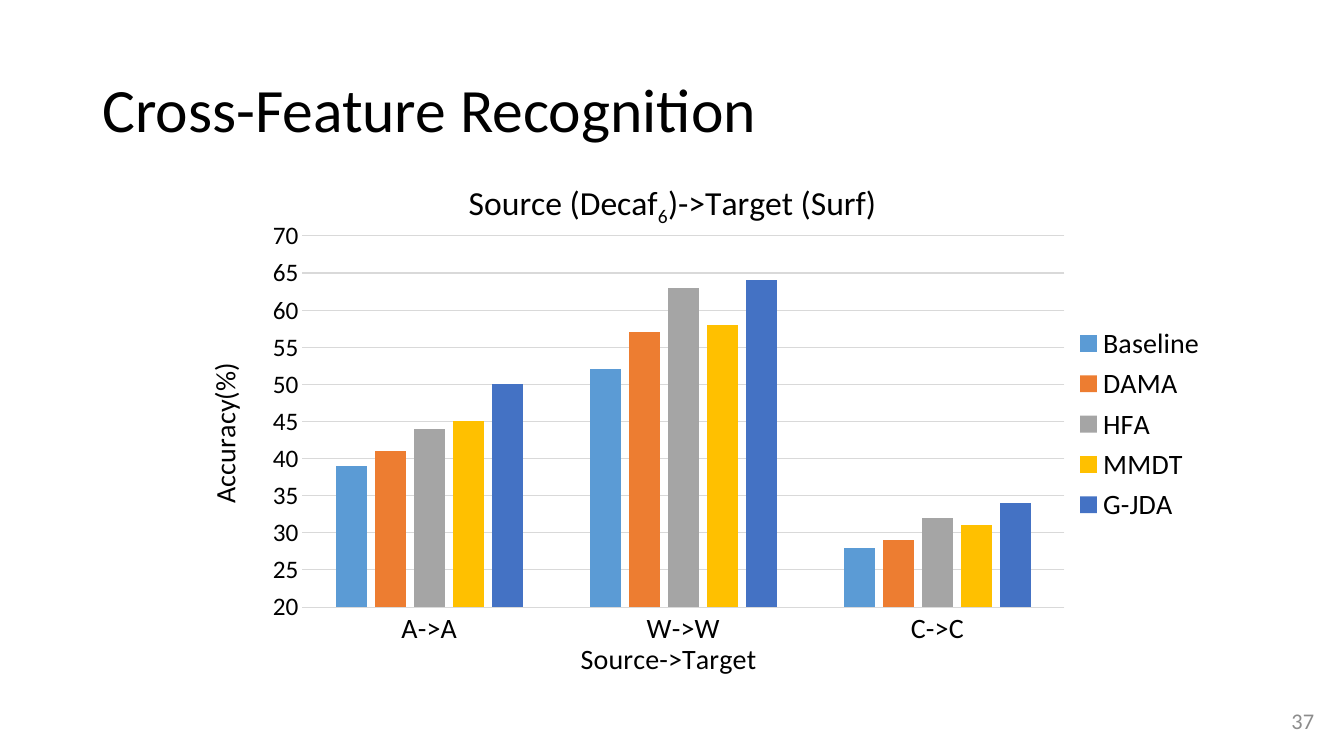
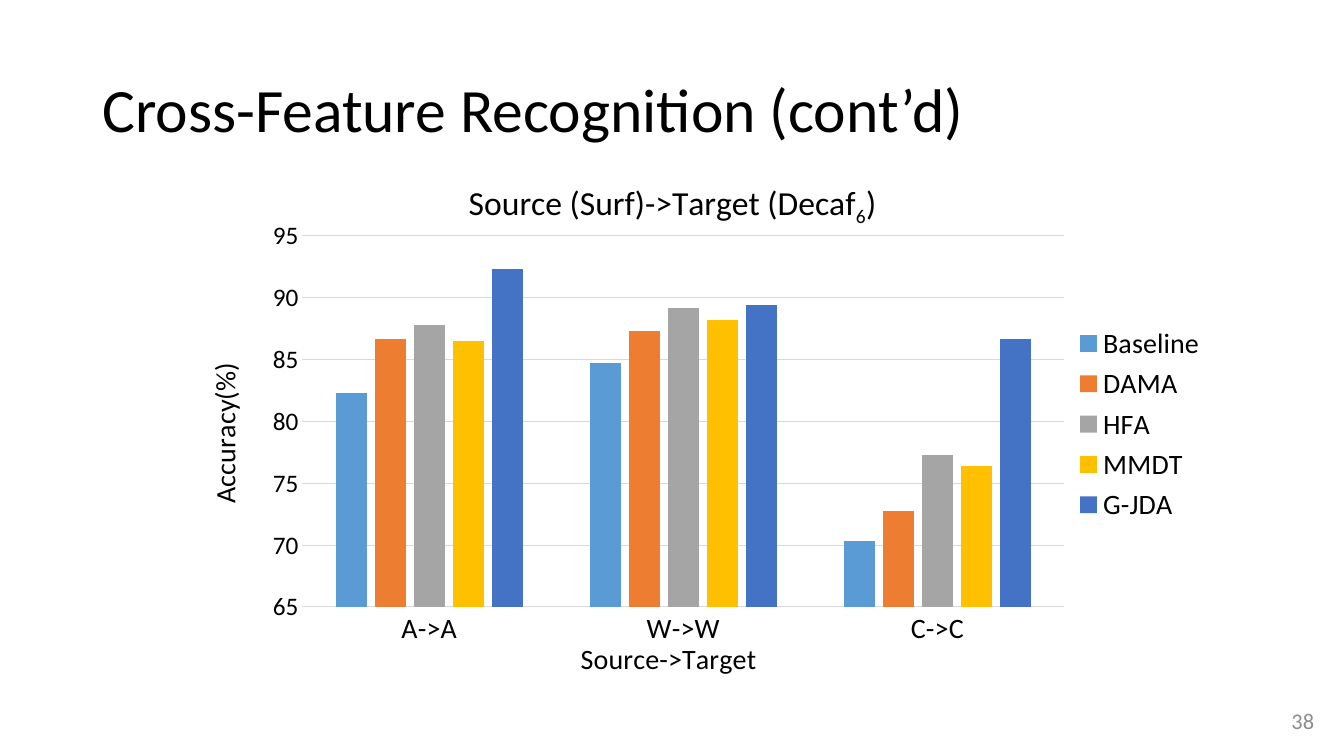
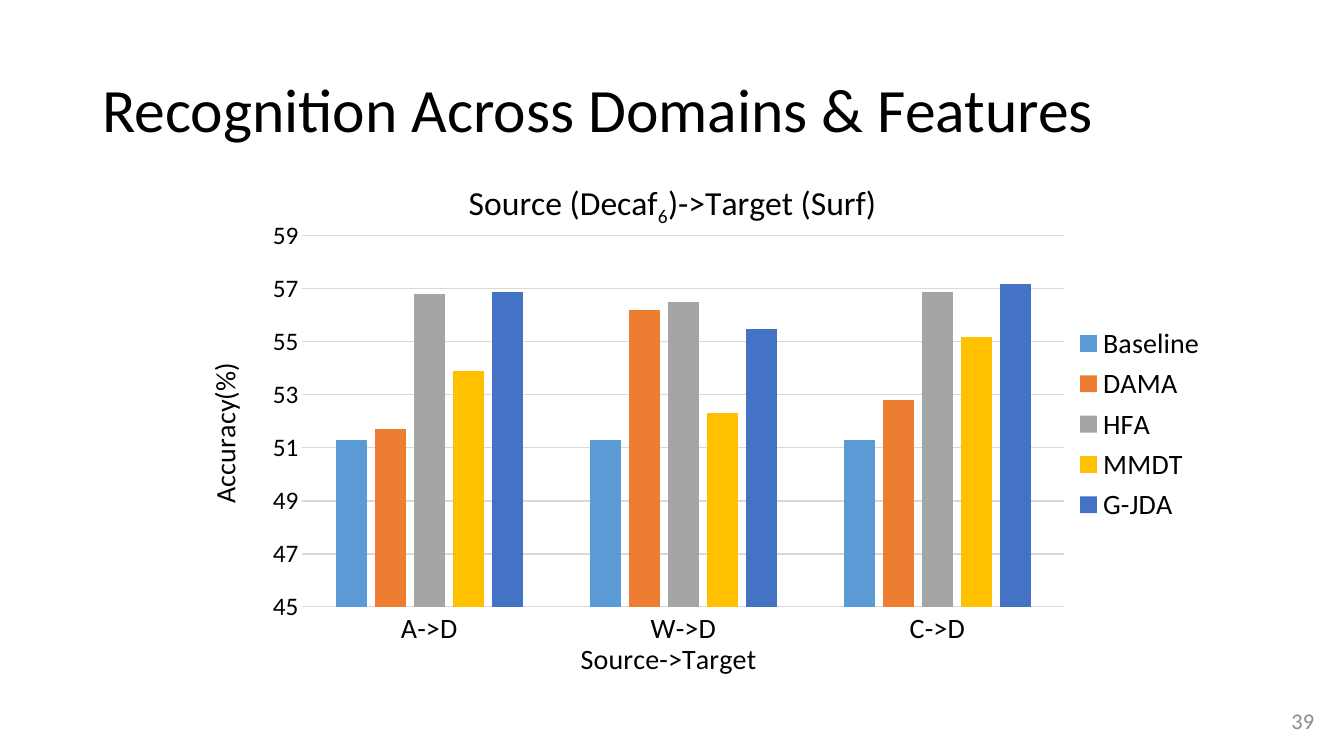
from dataclasses import dataclass

from pptx import Presentation
from pptx.chart.axis import CategoryAxis, ValueAxis
from pptx.chart.chart import Chart
from pptx.chart.data import CategoryChartData
from pptx.dml.color import RGBColor
from pptx.enum.chart import XL_CHART_TYPE, XL_LEGEND_POSITION, XL_TICK_MARK
from pptx.enum.text import MSO_ANCHOR, PP_ALIGN
from pptx.oxml import parse_xml
from pptx.oxml.ns import nsdecls
from pptx.slide import Slide
from pptx.text.text import Font, TextFrame
from pptx.util import Emu, Pt

PX = 9525
FONT = "Calibri"
COLORS = {"text": "000000", "page": "8C8C8C", "grid": "D9D9D9"}
METHODS = {
    "Baseline": "5B9BD5",
    "DAMA": "ED7D31",
    "HFA": "A5A5A5",
    "MMDT": "FFC000",
    "G-JDA": "4472C4",
}
PLOT = {"x": 0.16, "y": 0.14, "w": 0.7, "h": 0.71}
FIRST = 37


@dataclass(frozen=True)
class Box:
    left: int
    top: int
    width: int
    height: int

    def emu(self) -> tuple[Emu, ...]:
        sides = (self.left, self.top, self.width, self.height)
        return tuple(Emu(side * PX) for side in sides)


@dataclass(frozen=True)
class Run:
    text: str
    sub: bool = False


@dataclass(frozen=True)
class Scale:
    low: int
    high: int
    step: int


@dataclass(frozen=True)
class Page:
    title: str
    head: tuple[Run, ...]
    cats: tuple[str, ...]
    scale: Scale
    rows: tuple[tuple[float, ...], ...]


TITLE = Box(88, 38, 1104, 139)
CHART = Box(122, 155, 1037, 498)
NUMBER = Box(973, 667, 288, 38)

TO_SURF = (Run("Source (Decaf"), Run("6", True), Run(")->Target (Surf)"))
TO_DECAF = (Run("Source (Surf)->Target (Decaf"), Run("6", True), Run(")"))
SAME = ("A->A", "W->W", "C->C")
ACROSS = ("A->D", "W->D", "C->D")

PAGES = (
    Page(
        "Cross-Feature Recognition", TO_SURF, SAME, Scale(20, 70, 5),
        ((39, 52, 28), (41, 57, 29), (44, 63, 32), (45, 58, 31), (50, 64, 34)),
    ),
    Page(
        "Cross-Feature Recognition (cont’d)", TO_DECAF, SAME, Scale(65, 95, 5),
        (
            (82.3, 84.7, 70.3),
            (86.7, 87.3, 72.8),
            (87.8, 89.2, 77.3),
            (86.5, 88.2, 76.4),
            (92.3, 89.4, 86.7),
        ),
    ),
    Page(
        "Recognition Across Domains & Features", TO_SURF, ACROSS, Scale(45, 59, 2),
        (
            (51.3, 51.3, 51.3),
            (51.7, 56.2, 52.8),
            (56.8, 56.5, 56.9),
            (53.9, 52.3, 55.2),
            (56.9, 55.5, 57.2),
        ),
    ),
)


def style(font: Font, size: int, color: str = "text") -> None:
    font.name = FONT
    font.size = Pt(size)
    font.bold = False
    font.color.rgb = RGBColor.from_string(COLORS[color])


def write(frame: TextFrame, runs: tuple[Run, ...], size: int, color: str = "text") -> None:
    para = frame.paragraphs[0]
    for part in runs:
        run = para.add_run()
        run.text = part.text
        style(run.font, size, color)
        if part.sub:
            run._r.get_or_add_rPr().set("baseline", "-25000")


def add_text(slide: Slide, box: Box, text: str, size: int, color: str = "text") -> TextFrame:
    frame = slide.shapes.add_textbox(*box.emu()).text_frame
    frame.word_wrap = True
    frame.vertical_anchor = MSO_ANCHOR.MIDDLE
    write(frame, (Run(text),), size, color)
    return frame


def set_axis(axis: CategoryAxis | ValueAxis, title: str, size: int) -> None:
    axis.major_tick_mark = axis.minor_tick_mark = XL_TICK_MARK.NONE
    style(axis.tick_labels.font, size)
    write(axis.axis_title.text_frame, (Run(title),), 20)


def set_scale(axis: ValueAxis, scale: Scale) -> None:
    axis.minimum_scale = scale.low
    axis.maximum_scale = scale.high
    axis.major_unit = scale.step


def place_plot(chart: Chart) -> None:
    """Fix the inner plot area as fractions of the chart."""
    area = chart._chartSpace.chart.plotArea
    for old in area.xpath("c:layout"):
        area.remove(old)
    modes = "".join(f'<c:{key}Mode val="edge"/>' for key in "xy")
    sizes = "".join(f'<c:{key} val="{value}"/>' for key, value in PLOT.items())
    area.insert(0, parse_xml(
        f'<c:layout {nsdecls("c")}><c:manualLayout><c:layoutTarget val="inner"/>'
        f"{modes}{sizes}</c:manualLayout></c:layout>"
    ))


def add_bars(slide: Slide, page: Page) -> None:
    data = CategoryChartData()
    data.categories = page.cats
    for name, row in zip(METHODS, page.rows):
        data.add_series(name, row)
    kind = XL_CHART_TYPE.COLUMN_CLUSTERED
    chart = slide.shapes.add_chart(kind, *CHART.emu(), data).chart
    style(chart.font, 10)
    write(chart.chart_title.text_frame, page.head, 24)

    chart.has_legend = True
    chart.legend.position = XL_LEGEND_POSITION.RIGHT
    chart.legend.include_in_layout = False
    style(chart.legend.font, 20)

    plot = chart.plots[0]
    plot.vary_by_categories = False
    plot.gap_width = 219
    plot.overlap = -27
    for series, color in zip(plot.series, METHODS.values()):
        series.invert_if_negative = False
        series.format.fill.solid()
        series.format.fill.fore_color.rgb = RGBColor.from_string(color)

    cats, vals = chart.category_axis, chart.value_axis
    set_axis(cats, "Source->Target", 20)
    set_axis(vals, "Accuracy(%)", 18)
    vals.axis_title.text_frame._element.bodyPr.set("rot", "-5400000")
    set_scale(vals, page.scale)
    vals.format.line.fill.background()
    for line in (cats.format.line, vals.major_gridlines.format.line):
        line.width = Pt(0.75)
        line.color.rgb = RGBColor.from_string(COLORS["grid"])
    place_plot(chart)


def main() -> None:
    deck = Presentation()
    deck.slide_width = Emu(1280 * PX)
    deck.slide_height = Emu(720 * PX)
    blank = deck.slide_layouts[6]
    for number, page in enumerate(PAGES, FIRST):
        slide = deck.slides.add_slide(blank)
        title = add_text(slide, TITLE, page.title, 44)
        title.paragraphs[0].line_spacing = 0.9
        add_bars(slide, page)
        foot = add_text(slide, NUMBER, str(number), 16, "page")
        foot.paragraphs[0].alignment = PP_ALIGN.RIGHT
    deck.save("out.pptx")


if __name__ == "__main__":
    main()
